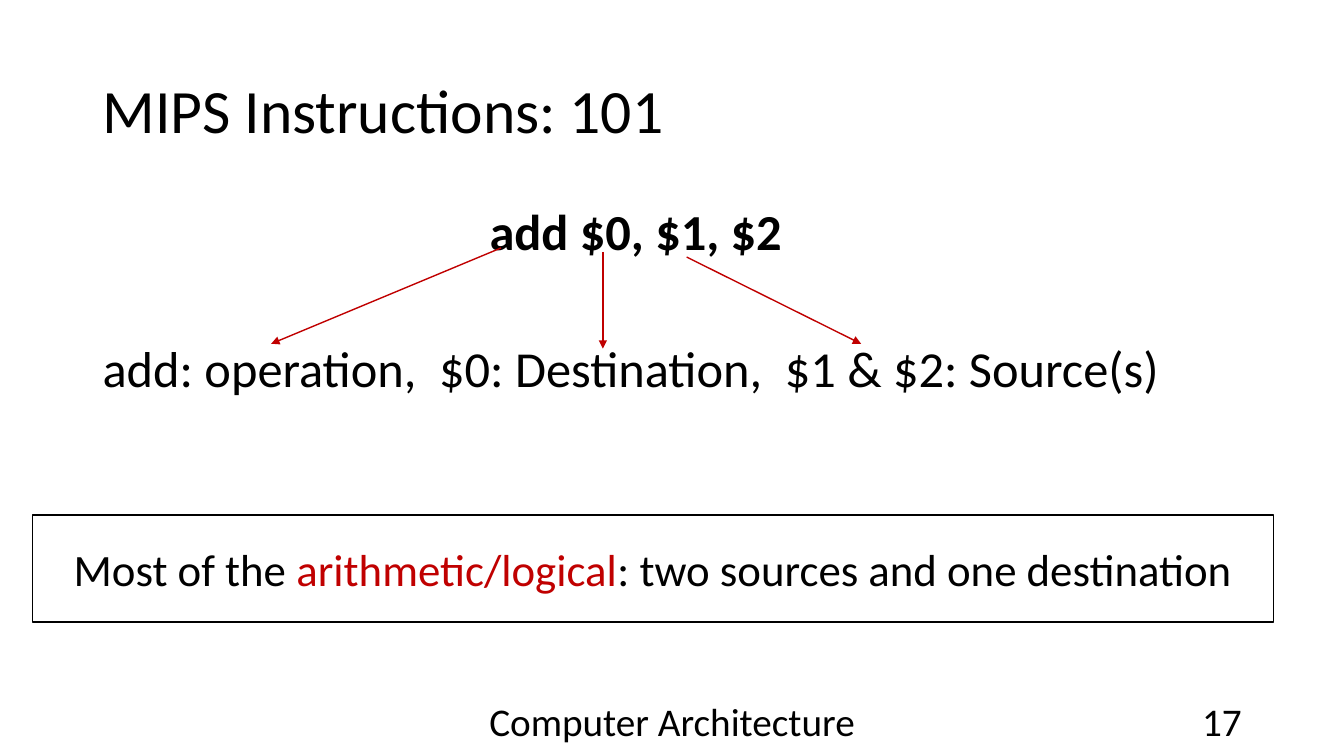
"""Build a slide that explains the parts of a MIPS add instruction."""
from dataclasses import dataclass

from lxml import etree
from pptx import Presentation
from pptx.dml.color import RGBColor
from pptx.enum.shapes import MSO_CONNECTOR, MSO_SHAPE
from pptx.enum.text import MSO_ANCHOR, MSO_AUTO_SIZE, PP_ALIGN
from pptx.oxml.ns import qn
from pptx.util import Inches, Pt

LEFT, MID, RIGHT = PP_ALIGN.LEFT, PP_ALIGN.CENTER, PP_ALIGN.RIGHT
TOP, CENTRE = MSO_ANCHOR.TOP, MSO_ANCHOR.MIDDLE
FIXED, RECT, LINE = MSO_AUTO_SIZE.NONE, MSO_SHAPE.RECTANGLE, MSO_CONNECTOR.STRAIGHT


@dataclass(frozen=True)
class Theme:
    """Hold the font, colours and type sizes."""
    font: str = "Calibri"
    ink: str = "000000"
    paper: str = "FFFFFF"
    red: str = "C00000"
    title: int = 44
    body: int = 36
    note: int = 32
    foot: int = 28


LOOK = Theme()
WIDTH, HEIGHT = Inches(13.33), Inches(7.5)

TITLE = "MIPS Instructions: 101"
CODE = "add $0, $1, $2"
PARTS = "add: operation,  $0: Destination,  $1 & $2: Source(s)"
NOTE = [
    ("Most of the ", LOOK.ink),
    ("arithmetic/logical", LOOK.red),
    (": two sources and one destination", LOOK.ink),
]

TITLE_AT = (6.88, 5.33, 86.25, 19.33)
BODY_AT = (6.88, 26.67, 86.25, 63.47)
NOTE_AT = (2.4, 68.13, 92.35, 14.13)
FOOT = [
    ("Computer Architecture", (33.13, 92.67, 33.75, 5.33), MID),
    ("17", (70.63, 92.67, 22.5, 5.33), RIGHT),
]
ARROWS = [
    (37.28, 32.8, 20.18, 45.47),
    (44.86, 33.33, 44.86, 46.13),
    (51.09, 34, 64.07, 45.47),
]
INDENT = 28.8


def scale(spot):
    """Turn percentages of the slide into lengths."""
    sides = (WIDTH, HEIGHT) * 2
    return [round(side * part / 100) for side, part in zip(sides, spot)]


def put(item, **form):
    """Set each named attribute."""
    for name, value in form.items():
        setattr(item, name, value)


def place(shape, spot):
    """Move and size a shape."""
    put(shape, **dict(zip(("left", "top", "width", "height"), scale(spot))))


def frame(shape, anchor):
    """Set up the text frame of a shape."""
    put(shape.text_frame, word_wrap=True, auto_size=FIXED, vertical_anchor=anchor)
    return shape.text_frame


def write(para, runs, size, bold=False, **form):
    """Fill a paragraph with coloured runs."""
    put(para, **form)
    for text, tint in runs:
        run = para.add_run()
        run.text = text
        put(run.font, name=LOOK.font, size=Pt(size), bold=bold)
        run.font.color.rgb = RGBColor.from_string(tint)


def plain(para, indent):
    """Remove the bullet and set the left margin."""
    props = para._p.get_or_add_pPr()
    props.set("marL", str(indent))
    props.set("indent", "0")
    etree.SubElement(props, qn("a:buNone"))


def arrow(slide, spot):
    """Draw a red arrow."""
    link = slide.shapes.add_connector(LINE, *scale(spot))
    link.line.color.rgb = RGBColor.from_string(LOOK.red)
    link.line.width = Pt(1)
    etree.SubElement(link.line._get_or_add_ln(), qn("a:tailEnd"), type="triangle")
    etree.SubElement(link._element.spPr, qn("a:effectLst"))


def main():
    """Make the slide and save it."""
    deck = Presentation()
    put(deck, slide_width=WIDTH, slide_height=HEIGHT)
    slide = deck.slides.add_slide(deck.slide_layouts[1])
    shapes = slide.shapes

    head, body = slide.placeholders
    place(head, TITLE_AT)
    write(frame(head, CENTRE).paragraphs[0], [(TITLE, LOOK.ink)], LOOK.title,
          alignment=LEFT, line_spacing=0.9)

    place(body, BODY_AT)
    text = frame(body, TOP)
    rows = [
        (text.paragraphs[0], CODE, True, 10, scale([INDENT])[0]),
        (text.add_paragraph(), PARTS, False, 59.5, 0),
    ]
    for para, words, bold, gap, indent in rows:
        write(para, [(words, LOOK.ink)], LOOK.body, bold,
              alignment=LEFT, line_spacing=0.9, space_before=Pt(gap))
        plain(para, indent)

    for words, spot, side in FOOT:
        box = shapes.add_textbox(*scale(spot))
        write(frame(box, CENTRE).paragraphs[0], [(words, LOOK.ink)], LOOK.foot,
              alignment=side)

    for spot in ARROWS:
        arrow(slide, spot)

    note = shapes.add_shape(RECT, *scale(NOTE_AT))
    note.shadow.inherit = False
    note.fill.solid()
    note.fill.fore_color.rgb = RGBColor.from_string(LOOK.paper)
    note.line.color.rgb = RGBColor.from_string(LOOK.ink)
    note.line.width = Pt(1)
    write(frame(note, CENTRE).paragraphs[0], NOTE, LOOK.note, alignment=MID)

    deck.save("out.pptx")


if __name__ == "__main__":
    main()
